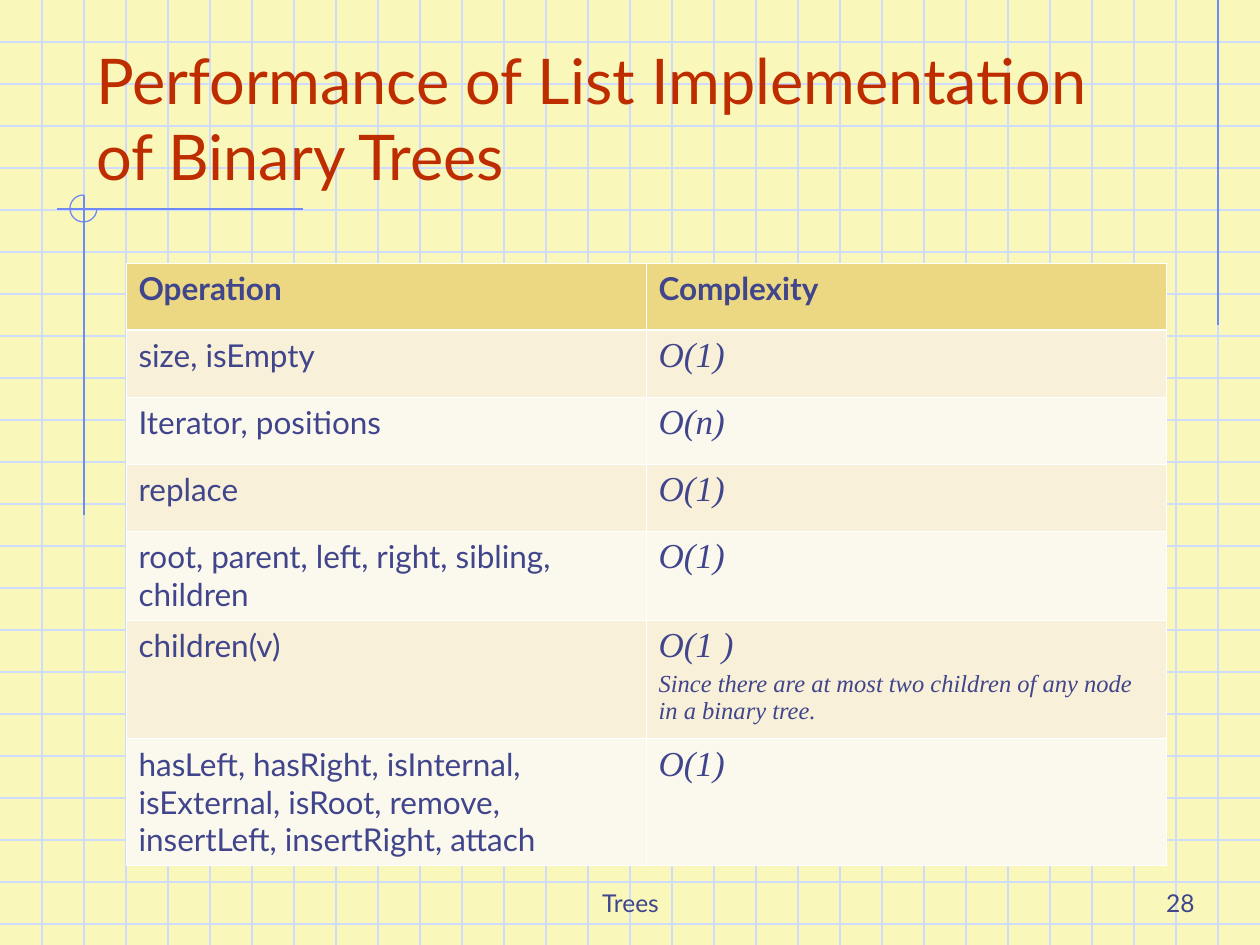
from lxml.etree import SubElement
from pptx import Presentation
from pptx.dml.color import RGBColor
from pptx.enum.shapes import MSO_CONNECTOR, MSO_SHAPE
from pptx.enum.text import MSO_ANCHOR, MSO_AUTO_SIZE, PP_ALIGN
from pptx.oxml.ns import qn
from pptx.util import Emu, Pt

PAPER = RGBColor(0xF9, 0xF8, 0xBA)
GRID = RGBColor(0xCF, 0xDB, 0xFD)
ACCENT = RGBColor(0x6F, 0x89, 0xF7)
RED = RGBColor(0xBE, 0x2D, 0x00)
INDIGO = RGBColor(0x40, 0x45, 0x8C)
GOLD = RGBColor(0xEC, 0xD8, 0x82)
BANDS = [RGBColor(0xF8, 0xF0, 0xD8), RGBColor(0xFB, 0xF8, 0xED)]

PX = 914400 / 126
WIDTH, HEIGHT, STEP = 1260, 945, 42


def px(*lengths):
    return [Emu(round(length * PX)) for length in lengths]


def write(paragraph, text, **font_format):
    paragraph.text = text
    for attribute, value in font_format.items():
        setattr(paragraph.font, attribute, value)


deck = Presentation()
deck.slide_width, deck.slide_height = px(WIDTH, HEIGHT)
slide = deck.slides.add_slide(deck.slide_layouts[5])
slide.background.fill.solid()
slide.background.fill.fore_color.rgb = PAPER

# Graph paper, then the accent lines on top of it
rulings = [(0, y, WIDTH, y, GRID) for y in range(STEP, HEIGHT, STEP)]
rulings += [(x, 0, x, HEIGHT, GRID) for x in range(STEP, WIDTH, STEP)]
rulings += [
    (1218, 0, 1218, 325, ACCENT),
    (303, 209, 57, 209, ACCENT),
    (84, 195, 84, 515, ACCENT),
]
for *ends, color in rulings:
    ruling = slide.shapes.add_connector(MSO_CONNECTOR.STRAIGHT, *px(*ends))
    ruling.line.color.rgb = color
    ruling.line.width = Pt(0.75)
    SubElement(ruling._element.spPr, qn("a:effectLst"))

# Three-quarter circle where the accent lines cross
crossing = slide.shapes.add_shape(MSO_SHAPE.ARC, *px(70, 195, 27, 27))
crossing.adjustments[0] = 0
crossing.adjustments[1] = 162  # 270 degrees
crossing.shadow.inherit = False
crossing.fill.background()
crossing.line.color.rgb = ACCENT
crossing.line.width = Pt(0.75)

# Footer and page number
for text, box, align in [
    ("Trees", (431, 861, 399, 63), PP_ALIGN.CENTER),
    ("28", (945, 861, 262, 63), PP_ALIGN.RIGHT),
]:
    footer = slide.shapes.add_textbox(*px(*box)).text_frame
    footer.word_wrap = True
    footer.vertical_anchor = MSO_ANCHOR.BOTTOM
    write(footer.paragraphs[0], text, name="Lato", size=Pt(14))
    footer.paragraphs[0].font.color.rgb = INDIGO
    footer.paragraphs[0].alignment = align

# Title, raised above the graph paper
title = slide.shapes.title
slide.shapes._spTree.append(title._element)
title.left, title.top, title.width, title.height = px(84, 42, 1071, 157)
title.text_frame.auto_size = MSO_AUTO_SIZE.NONE
title.text_frame.vertical_anchor = MSO_ANCHOR.BOTTOM
heading = title.text_frame.paragraphs[0]
write(heading, "Performance of List Implementation of Binary Trees",
      name="Lato", size=Pt(36))
heading.font.color.rgb = RED
heading.alignment = PP_ALIGN.LEFT

# Complexity table
OPERATIONS = [
    (67, "Operation", ["Complexity"]),
    (67, "size, isEmpty", ["O(1)"]),
    (67, "Iterator, positions", ["O(n)"]),
    (67, "replace", ["O(1)"]),
    (89, "root, parent, left, right, sibling, children", ["O(1)"]),
    (119, "children(v)",
     ["O(1 )",
      "Since there are at most two children of any node in a binary tree."]),
    (127, "hasLeft, hasRight, isInternal, isExternal, isRoot, remove, "
          "insertLeft, insertRight, attach", ["O(1)"]),
]
HEADER = {"name": "Lato", "size": Pt(18), "bold": True}
OPERATION = {"name": "Lato", "size": Pt(18), "bold": False}
COMPLEXITY = {"name": "Times New Roman", "size": Pt(20), "italic": True}
REMARK = {**COMPLEXITY, "size": Pt(14)}

table_height = sum(height for height, *_ in OPERATIONS)
table = slide.shapes.add_table(
    len(OPERATIONS), 2, *px(126, 263, 1040, table_height)).table
table.horz_banding = False
for column in table.columns:
    column.width = px(520)[0]

for r, (height, operation, complexity) in enumerate(OPERATIONS):
    table.rows[r].height = px(height)[0]
    for c, lines in enumerate([[operation], complexity]):
        cell = table.cell(r, c)
        frame = cell.text_frame
        formats = [[OPERATION], [COMPLEXITY, REMARK]][c] if r else [HEADER]
        for i, (line, font_format) in enumerate(zip(lines, formats)):
            paragraph = frame.add_paragraph() if i else frame.paragraphs[0]
            write(paragraph, line, **font_format)
            paragraph.font.color.rgb = INDIGO
            if i:
                paragraph.space_before = Pt(3)

        # White borders, heavier under the header row
        heavy = {0: "lnB", 1: "lnT"}.get(r)
        for side in ("lnL", "lnR", "lnT", "lnB"):
            points = 1.47 if side == heavy else 0.45
            border = SubElement(cell._tc.get_or_add_tcPr(), qn(f"a:{side}"),
                                w=str(Pt(points)))
            SubElement(SubElement(border, qn("a:solidFill")),
                       qn("a:srgbClr"), val="FFFFFF")
        cell.fill.solid()
        cell.fill.fore_color.rgb = BANDS[(r - 1) % 2] if r else GOLD

deck.save("out.pptx")
